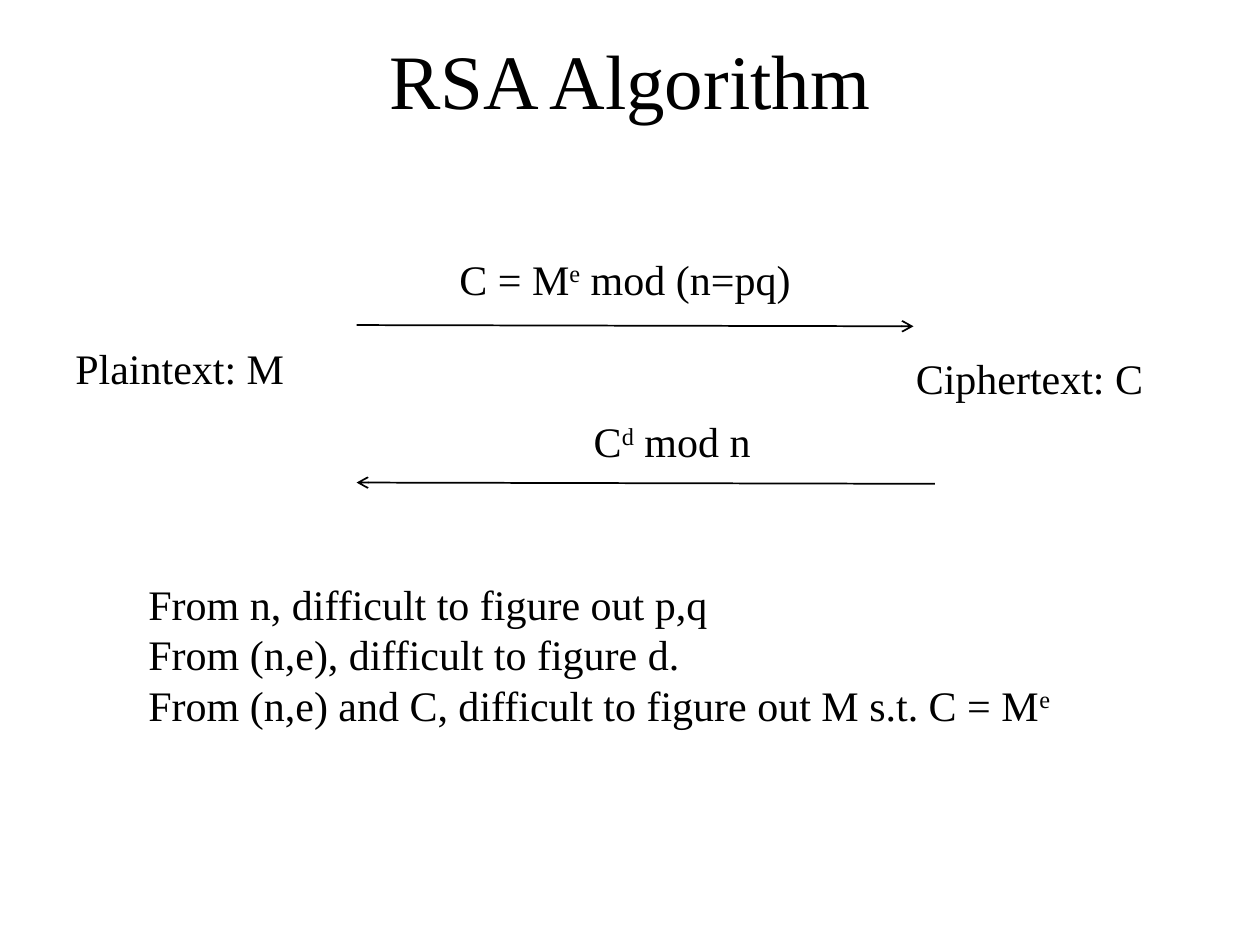
from dataclasses import dataclass

from lxml.etree import SubElement
from pptx import Presentation
from pptx.dml.color import RGBColor
from pptx.enum.shapes import MSO_CONNECTOR
from pptx.enum.text import MSO_ANCHOR, PP_ALIGN
from pptx.oxml.ns import qn
from pptx.slide import Slide
from pptx.util import Inches, Pt

BLACK = RGBColor(0x00, 0x00, 0x00)
WHITE = RGBColor(0xFF, 0xFF, 0xFF)
SUPERSCRIPT_MARK = "^"


@dataclass(frozen=True)
class Label:
    lines: tuple[str, ...]
    left: float
    top: float
    width: float
    height: float = 0.5
    size: int = 24
    align: PP_ALIGN = PP_ALIGN.LEFT
    anchor: MSO_ANCHOR = MSO_ANCHOR.TOP


@dataclass(frozen=True)
class Arrow:
    start: tuple[float, float]
    end: tuple[float, float]


LABELS = (
    Label(("RSA Algorithm",), 0.5, 0, 9, 1.25, 44, PP_ALIGN.CENTER, MSO_ANCHOR.MIDDLE),
    Label(("Plaintext: M",), 0.5, 2.67, 2.17),
    Label(("C = M^e^ mod (n=pq)",), 2.92, 1.96, 4.08, align=PP_ALIGN.CENTER),
    Label(("Ciphertext: C",), 7.17, 2.75, 2.5),
    Label(("C^d^ mod n",), 3.5, 3.25, 3.67, align=PP_ALIGN.CENTER),
    Label(
        (
            "From n, difficult to figure out p,q",
            "From (n,e), difficult to figure d.",
            "From (n,e) and C, difficult to figure out M s.t. C = M^e^",
        ),
        1.08, 4.54, 8.17, 1.3,
    ),
)
ARROWS = (
    Arrow((2.83, 2.58), (7.25, 2.59)),
    Arrow((7.42, 3.84), (2.83, 3.83)),
)


def draw_label(slide: Slide, label: Label) -> None:
    bounds = (label.left, label.top, label.width, label.height)
    frame = slide.shapes.add_textbox(*map(Inches, bounds)).text_frame
    frame.word_wrap = True
    frame.vertical_anchor = label.anchor
    font_format = {"name": "Times New Roman", "size": Pt(label.size)}
    for index, line in enumerate(label.lines):
        paragraph = frame.add_paragraph() if index else frame.paragraphs[0]
        paragraph.alignment = label.align
        for position, part in enumerate(line.split(SUPERSCRIPT_MARK)):
            if not part:
                continue
            run = paragraph.add_run()
            run.text = part
            for attribute, value in font_format.items():
                setattr(run.font, attribute, value)
            run.font.color.rgb = BLACK
            if position % 2:
                run._r.get_or_add_rPr().set("baseline", "30000")


def draw_arrow(slide: Slide, arrow: Arrow) -> None:
    ends = (*arrow.start, *arrow.end)
    connector = slide.shapes.add_connector(MSO_CONNECTOR.STRAIGHT, *map(Inches, ends))
    connector.line.color.rgb = BLACK
    connector.line.width = Pt(1)
    SubElement(connector.line._get_or_add_ln(), qn("a:tailEnd"), type="arrow")
    SubElement(connector._element.spPr, qn("a:effectLst"))


def main() -> None:
    """Build the RSA algorithm slide."""
    presentation = Presentation()
    presentation.slide_width = Inches(10)
    presentation.slide_height = Inches(7.5)
    slide = presentation.slides.add_slide(presentation.slide_layouts[6])
    slide.background.fill.solid()
    slide.background.fill.fore_color.rgb = WHITE
    for label in LABELS:
        draw_label(slide, label)
    for arrow in ARROWS:
        draw_arrow(slide, arrow)
    presentation.save("out.pptx")


if __name__ == "__main__":
    main()
